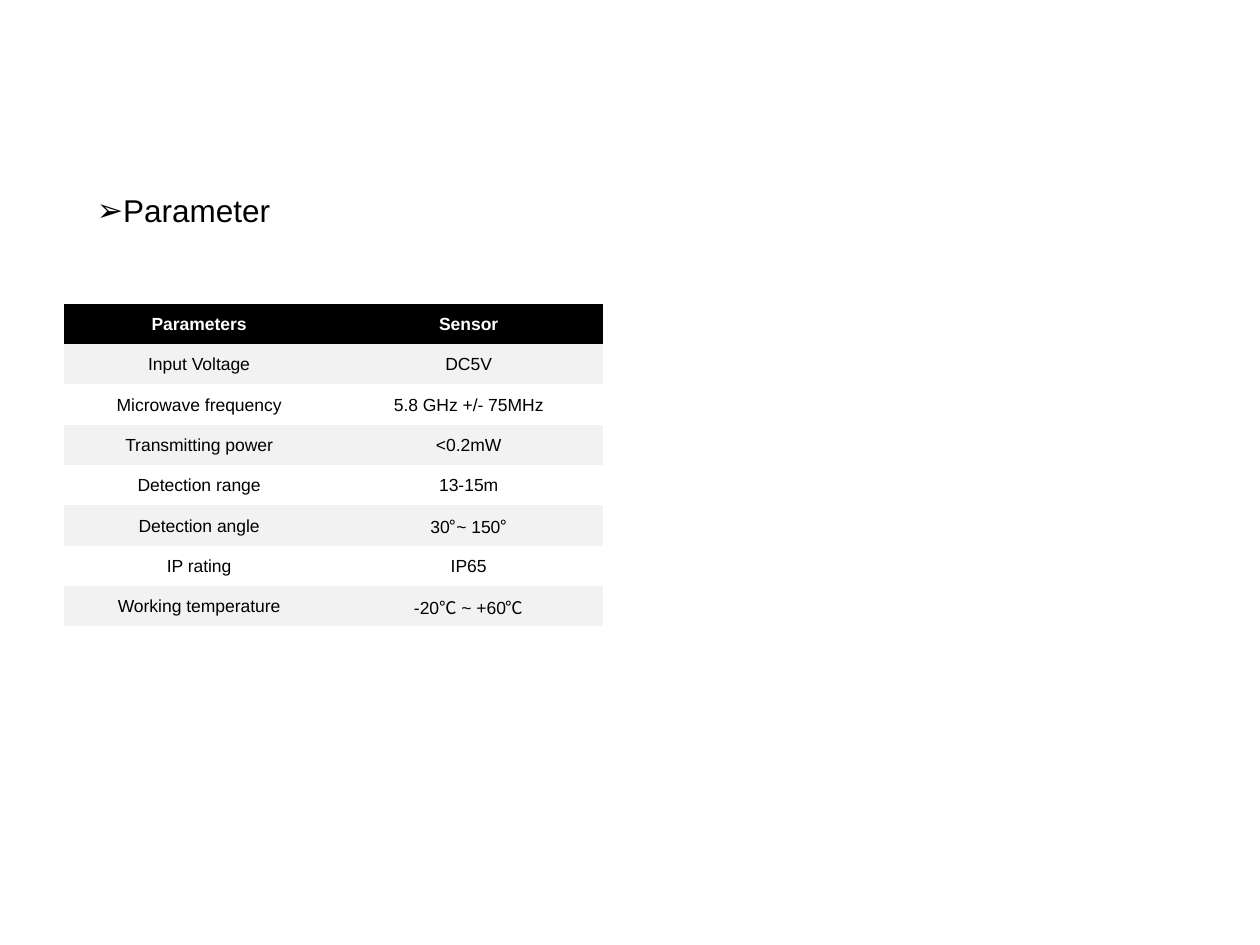
from dataclasses import dataclass
from itertools import groupby

from lxml.etree import SubElement
from pptx import Presentation
from pptx.dml.color import RGBColor as Color
from pptx.enum.text import MSO_ANCHOR as Anchor, PP_ALIGN as Align
from pptx.oxml.ns import qn
from pptx.util import Inches, Pt


@dataclass(frozen=True)
class Theme:
    font: str = "Arial"
    symbol_font: str = "Noto Sans CJK SC"
    ink: str = "000000"
    paper: str = "FFFFFF"
    band: str = "F2F2F2"
    heading_size: int = 18
    cell_size: int = 10


@dataclass(frozen=True)
class Parameter:
    label: str
    value: str


THEME = Theme()
SLIDE_WIDTH, SLIDE_HEIGHT = Inches(10), Inches(7.5)
COLUMN_WIDTH, ROW_HEIGHT = Inches(2.14), Inches(0.32)
BULLET_WIDTH = Inches(0.2)
SYMBOLS = "°℃"
PLAIN_TABLE_STYLE = "{2D5ABB26-0587-4C30-8999-92F81FD0307C}"
CELL_FORMAT = {
    "vertical_anchor": Anchor.MIDDLE,
    "margin_left": Inches(0.01),
    "margin_top": Inches(0.01),
    "margin_right": Inches(0.01),
    "margin_bottom": 0,
}
PARAMETERS = [
    Parameter("Parameters", "Sensor"),
    Parameter("Input Voltage", "DC5V"),
    Parameter("Microwave frequency", "5.8 GHz +/- 75MHz"),
    Parameter("Transmitting power", "<0.2mW"),
    Parameter("Detection range", "13-15m"),
    Parameter("Detection angle", "30°~ 150°"),
    Parameter("IP rating", "IP65"),
    Parameter("Working temperature", "-20℃ ~ +60℃"),
]


def set_format(target, values: dict) -> None:
    for name, value in values.items():
        setattr(target, name, value)


def add_text(para, text: str, size: int, color: str, bold: bool = False) -> None:
    """Add text, with degree signs in the symbol font."""
    for is_symbol, letters in groupby(text, lambda letter: letter in SYMBOLS):
        span = para.add_run()
        span.text = "".join(letters)
        name = THEME.symbol_font if is_symbol else THEME.font
        set_format(span.font, {"name": name, "size": Pt(size), "bold": bold})
        span.font.color.rgb = Color.from_string(color)
        SubElement(span.font._element, qn("a:ea"), typeface=name)


def add_heading(page, text: str) -> None:
    box = page.shapes.add_textbox(
        int(SLIDE_WIDTH * 0.067), int(SLIDE_HEIGHT * 0.196),
        int(SLIDE_WIDTH * 0.331), int(SLIDE_HEIGHT * 0.053))
    box.text_frame.word_wrap = True
    para = box.text_frame.paragraphs[0]
    add_text(para, text, THEME.heading_size, THEME.ink)
    settings = para._p.get_or_add_pPr()
    settings.set("marL", str(BULLET_WIDTH))
    settings.set("indent", str(-BULLET_WIDTH))
    SubElement(settings, qn("a:buFont"), typeface=THEME.font)
    SubElement(settings, qn("a:buChar"), char="➢")


def fill_cell(cell, text: str, row: int) -> None:
    is_header = row == 0
    set_format(cell, CELL_FORMAT)
    if is_header or row % 2:
        cell.fill.solid()
        cell.fill.fore_color.rgb = Color.from_string(THEME.ink if is_header else THEME.band)
    else:
        cell.fill.background()
    para = cell.text_frame.paragraphs[0]
    para.alignment = Align.CENTER
    add_text(para, text, THEME.cell_size, THEME.paper if is_header else THEME.ink, is_header)


def add_parameter_table(page, parameters: list[Parameter]) -> None:
    table = page.shapes.add_table(
        len(parameters), 2, int(SLIDE_WIDTH * 0.051), int(SLIDE_HEIGHT * 0.3215),
        COLUMN_WIDTH * 2, ROW_HEIGHT * len(parameters)).table
    table._tbl.tblPr.find(qn("a:tableStyleId")).text = PLAIN_TABLE_STYLE
    table.horz_banding = False
    for row, parameter in enumerate(parameters):
        for column, text in enumerate((parameter.label, parameter.value)):
            fill_cell(table.cell(row, column), text, row)


def main() -> None:
    deck = Presentation()
    set_format(deck, {"slide_width": SLIDE_WIDTH, "slide_height": SLIDE_HEIGHT})
    page = deck.slides.add_slide(deck.slide_layouts[6])
    add_parameter_table(page, PARAMETERS)
    add_heading(page, "Parameter")
    deck.save("out.pptx")


if __name__ == "__main__":
    main()
